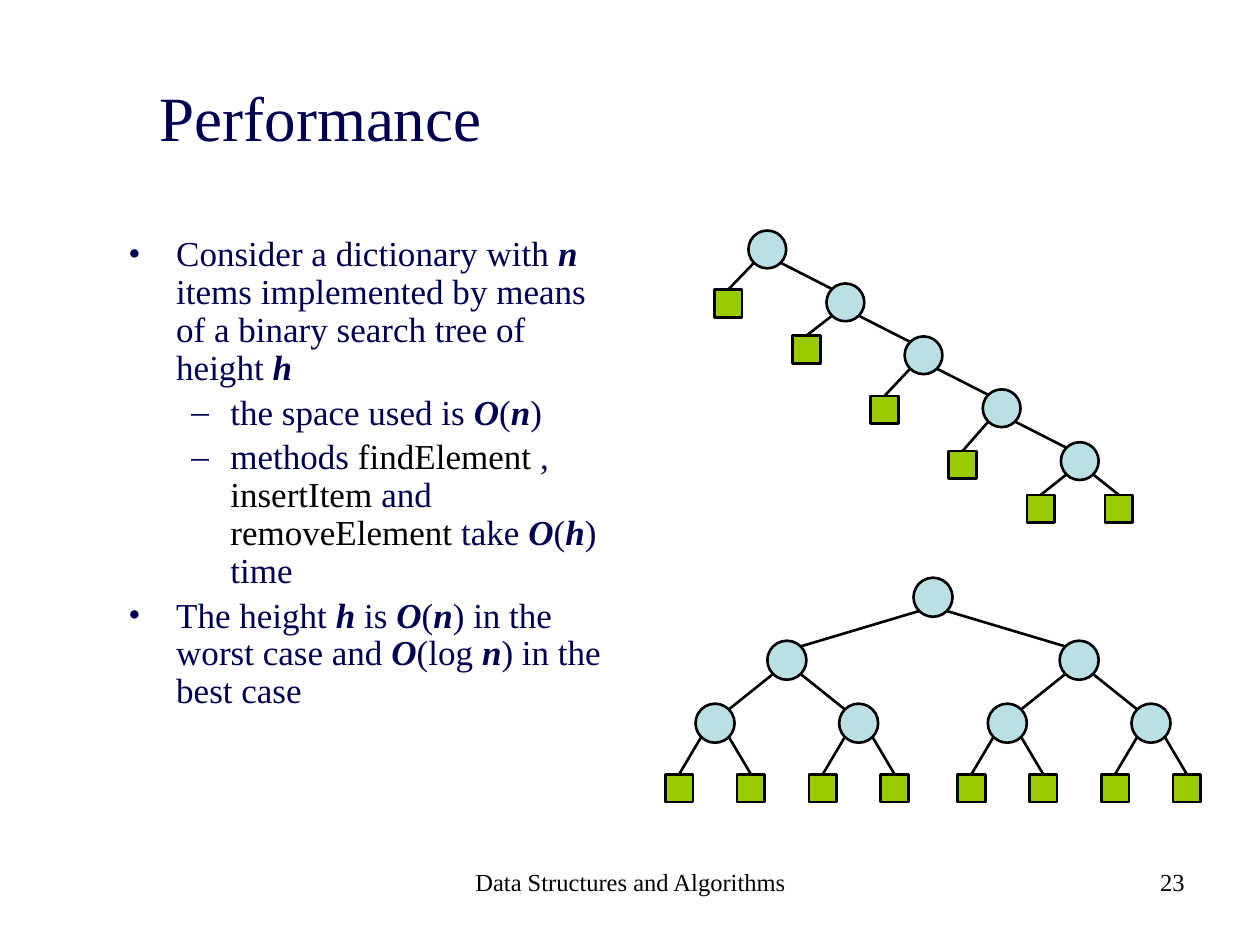
"""Build the slide on binary search tree performance."""
import dataclasses
import math
import typing

import pptx
import pptx.dml.color
import pptx.enum.shapes
import pptx.enum.text
import pptx.oxml.xmlchemy
import pptx.oxml.ns
import pptx.util
from lxml import etree

Inch = pptx.util.Inches
Rgb = pptx.dml.color.RGBColor.from_string
Kind = pptx.enum.shapes.MSO_SHAPE
Align = pptx.enum.text.PP_ALIGN
Anchor = pptx.enum.text.MSO_ANCHOR
WIDE, HIGH = 10, 7.5


@dataclasses.dataclass(frozen=True)
class Theme:
    font: str = "Times New Roman"
    navy: str = "000050"
    black: str = "000000"
    inner: str = "BBE0E3"
    leaf: str = "99CC00"
    title: int = 36
    body: int = 20
    foot: int = 14
    line: float = 1.5


@dataclasses.dataclass(frozen=True)
class Run:
    text: str
    color: str = Theme.navy
    strong: bool = False


@dataclasses.dataclass(frozen=True)
class Item:
    level: int
    runs: tuple[Run, ...]


@dataclasses.dataclass(frozen=True)
class Grid:
    left: float
    top: float
    col: float
    row: float
    disc: float
    box: float = 0.22

    def place(self, col: float, row: float) -> tuple[float, float]:
        return self.left + col * self.col, self.top + row * self.row


@dataclasses.dataclass(frozen=True)
class Node:
    col: float
    row: float
    kids: tuple["Node", ...] = ()


THEME = Theme()


def var(text: str) -> Run:
    return Run(text, strong=True)


def code(text: str) -> Run:
    return Run(text, THEME.black)


def order(name: str, lead: str = "(") -> tuple[Run, ...]:
    return var("O"), Run(lead), var(name)


ITEMS = (
    Item(0, (Run("Consider a dictionary with "), var("n"),
             Run(" items implemented by means of a binary search tree of height "), var("h"))),
    Item(1, (Run("the space used is "), *order("n"), Run(")"))),
    Item(1, (Run("methods "), code("findElement "), Run(", "), code("insertItem"),
             Run(" and "), code("removeElement"), Run(" take "), *order("h"), Run(") time"))),
    Item(0, (Run("The height "), var("h"), Run(" is "), *order("n"),
             Run(") in the worst case and "), *order("n", "(log "), Run(") in the best case"))),
)
MARKS = (("•", 0.38, 0.38), ("–", 0.81, 0.31))
DROPS = (1.02, 1.89, 3.03, 4.07, 4.9)
SPREAD = (4.07, 2, 1)
LEVELS = (0, 1, 2, 3.03)


def chain(step: int = 0) -> Node:
    """Return the skewed tree from the given step down."""
    col, row = 2 * step, DROPS[step]
    last = step == len(DROPS) - 1
    right = Node(col + 2, row) if last else chain(step + 1)
    return Node(col + 1, step, (Node(col, row), right))


def full(col: float, depth: int = 0) -> Node:
    """Return the balanced tree below the given column."""
    if depth == len(SPREAD):
        return Node(col, LEVELS[depth])
    gap = SPREAD[depth]
    return Node(col, LEVELS[depth], (full(col - gap, depth + 1), full(col + gap, depth + 1)))


def write(par: typing.Any, run: Run, size: int) -> None:
    """Add one styled run to a paragraph."""
    part = par.add_run()
    part.text = run.text
    font = part.font
    font.name, font.size = THEME.font, pptx.util.Pt(size)
    font.bold = font.italic = run.strong
    font.color.rgb = Rgb(run.color)


def frame(slide: typing.Any, left: float, top: float, wide: float, high: float) -> typing.Any:
    """Add a wrapping text box placed by shares of the slide."""
    box = slide.shapes.add_textbox(
        Inch(left * WIDE), Inch(top * HIGH), Inch(wide * WIDE), Inch(high * HIGH))
    box.text_frame.word_wrap = True
    return box.text_frame


def label(area: typing.Any, run: Run, size: int, align: typing.Any) -> None:
    """Fill a text frame with a single line."""
    par = area.paragraphs[0]
    par.alignment = align
    write(par, run, size)


def mark(par: typing.Any, level: int) -> None:
    """Give a paragraph its bullet and hanging indent."""
    sign, left, hang = MARKS[level]
    props = par._p.get_or_add_pPr()
    props.set("marL", str(Inch(left)))
    props.set("indent", str(-Inch(hang)))
    tint = etree.SubElement(props, pptx.oxml.ns.qn("a:buClr"))
    etree.SubElement(tint, pptx.oxml.ns.qn("a:srgbClr"), val=THEME.navy)
    etree.SubElement(props, pptx.oxml.ns.qn("a:buFont"), typeface=THEME.font)
    etree.SubElement(props, pptx.oxml.ns.qn("a:buChar"), char=sign)


def listing(area: typing.Any, items: tuple[Item, ...]) -> None:
    """Write the bulleted items."""
    for rank, item in enumerate(items):
        par = area.add_paragraph() if rank else area.paragraphs[0]
        mark(par, item.level)
        par.level = item.level
        par.line_spacing = 0.9
        par.space_before = pptx.util.Pt(4 if rank else 0)
        for run in item.runs:
            write(par, run, THEME.body)


def edge(slide: typing.Any, grid: Grid, node: Node, kid: Node, shape: typing.Any) -> None:
    """Join a node to one of its children."""
    (x, y), (a, b) = grid.place(node.col, node.row), grid.place(kid.col, kid.row)
    reach = grid.disc / 2 * math.sqrt(0.5)
    side = math.copysign(reach, a - x)
    link = slide.shapes.add_connector(
        pptx.enum.shapes.MSO_CONNECTOR.STRAIGHT,
        Inch(x + side), Inch(y + reach), Inch(a - side), Inch(b - reach))
    if not kid.kids:
        link.end_connect(shape, 0)
    link.line.color.rgb = Rgb(THEME.black)
    link.line.width = pptx.util.Pt(THEME.line)
    etree.SubElement(link._element.spPr, pptx.oxml.ns.qn("a:effectLst"))


def tree(slide: typing.Any, grid: Grid, node: Node) -> typing.Any:
    """Draw a node with everything below it."""
    x, y = grid.place(node.col, node.row)
    kind, size, fill = ((Kind.OVAL, grid.disc, THEME.inner) if node.kids
                        else (Kind.RECTANGLE, grid.box, THEME.leaf))
    shape = slide.shapes.add_shape(
        kind, Inch(x - size / 2), Inch(y - size / 2), Inch(size), Inch(size))
    shape.shadow.inherit = False
    shape.fill.solid()
    shape.fill.fore_color.rgb = Rgb(fill)
    shape.line.color.rgb = Rgb(THEME.black)
    shape.line.width = pptx.util.Pt(THEME.line)
    for kid in node.kids:
        edge(slide, grid, node, kid, tree(slide, grid, kid))
    return shape


def main() -> None:
    """Build and save the slide."""
    deck = pptx.Presentation()
    deck.slide_width, deck.slide_height = Inch(WIDE), Inch(HIGH)
    slide = deck.slides.add_slide(deck.slide_layouts[6])
    head = frame(slide, 0.117, 0.04, 0.833, 0.167)
    head.vertical_anchor = Anchor.MIDDLE
    label(head, Run("Performance"), THEME.title, Align.LEFT)
    listing(frame(slide, 0.092, 0.244, 0.408, 0.667), ITEMS)
    label(frame(slide, 0.342, 0.911, 0.317, 0.069),
          code("Data Structures and Algorithms"), THEME.foot, Align.CENTER)
    label(frame(slide, 0.717, 0.911, 0.233, 0.069), code("23"), THEME.foot, Align.RIGHT)
    tree(slide, Grid(5.78, 1.98, 0.31, 0.42, 0.3), chain())
    tree(slide, Grid(5.39, 4.74, 0.285, 0.5, 0.31), full(7.07))
    deck.save("out.pptx")


if __name__ == "__main__":
    main()
